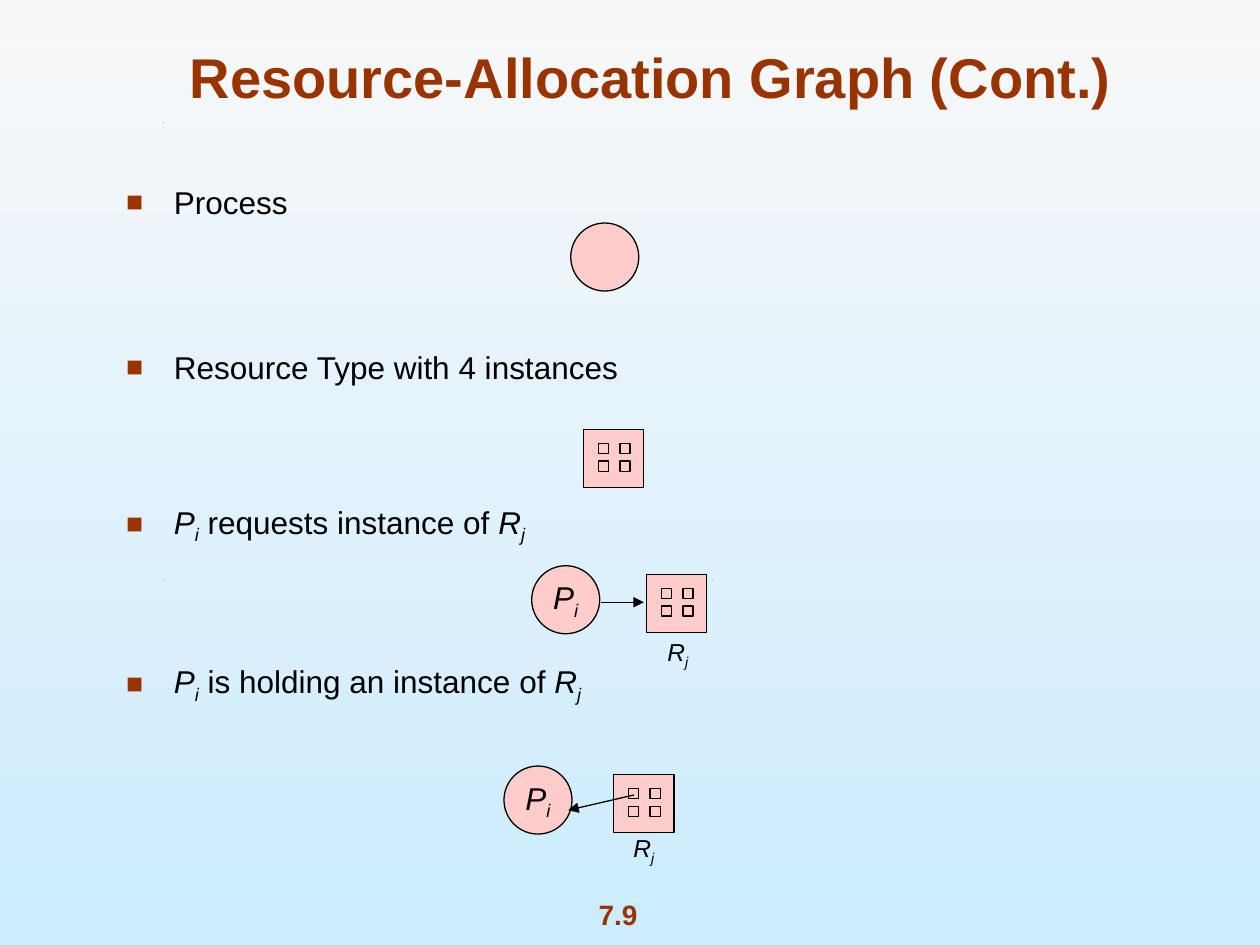
from lxml.etree import SubElement
from pptx import Presentation
from pptx.dml.color import RGBColor
from pptx.enum.shapes import MSO_CONNECTOR, MSO_SHAPE
from pptx.enum.text import MSO_ANCHOR, MSO_AUTO_SIZE, PP_ALIGN
from pptx.oxml.ns import qn
from pptx.util import Inches, Pt

BROWN = RGBColor(0x99, 0x33, 0x00)
PINK = RGBColor(0xFF, 0xCC, 0xCC)
BLACK = RGBColor(0, 0, 0)
SKY = [RGBColor(0xF8, 0xF8, 0xF8), RGBColor(0xCC, 0xEC, 0xFF)]

# Styles of a run: "" plain, "i" italic, "s" italic subscript
PROCESS = [("P", "i"), ("i", "s")]
RESOURCE = [("R", "i"), ("j", "s")]

TITLE = "Resource-Allocation Graph (Cont.)"
PAGE_NUMBER = "7.9"
BULLETS = [  # space before in points, runs
    (0, [("Process", "")]),
    (72.7, [("Resource Type with 4 instances", "")]),
    (69.8, PROCESS + [(" requests instance of ", "")] + RESOURCE),
    (69.8, PROCESS + [(" is holding an instance of ", "")] + RESOURCE),
]
CIRCLES = [(4.53, 1.77, []), (4, 6.08, PROCESS), (4.22, 4.49, PROCESS)]
RESOURCES = [(4.63, 3.41), (5.13, 4.56), (4.87, 6.15)]
ARROWS = [(4.77, 4.78, 5.11, 4.78), (5.03, 6.31, 4.51, 6.43)]
RESOURCE_LABELS = [(5.2, 5), (4.93, 6.56)]
SPECKS = [(1.76, 5.42), (1.3, 4.6), (5.65, 4.6), (1.29, 0.97)]

CIRCLE_SIZE = 0.54
RESOURCE_WIDTH, RESOURCE_HEIGHT = 0.48, 0.46
INSTANCE_SIZE = 0.08
INSTANCE_COLUMNS, INSTANCE_ROWS = (0.12, 0.29), (0.11, 0.25)


def place(shape, *edges):
    shape.left, shape.top, shape.width, shape.height = map(Inches, edges)


def add_runs(para, runs, size, color=BLACK, bold=False):
    for text, style in runs:
        span = para.add_run()
        span.text = text
        font = span.font
        font.name, font.size, font.bold = "Arial", Pt(size), bold
        font.italic = style != ""
        font.color.rgb = color
        if style == "s":
            font._element.set("baseline", "-25000")


def add_centred_text(frame, runs, size, **look):
    frame.word_wrap = False
    frame.vertical_anchor = MSO_ANCHOR.MIDDLE
    para = frame.paragraphs[0]
    para.alignment = PP_ALIGN.CENTER
    add_runs(para, runs, size, **look)


def add_label(shapes, edges, runs, size, **look):
    frame = shapes.add_textbox(*map(Inches, edges)).text_frame
    frame.margin_left = frame.margin_right = 0
    frame.auto_size = MSO_AUTO_SIZE.SHAPE_TO_FIT_TEXT
    add_centred_text(frame, runs, size, **look)


def add_bullet(para):
    props = para._p.get_or_add_pPr()
    props.set("marL", str(Inches(0.38)))
    props.set("indent", str(-Inches(0.38)))
    color = SubElement(props, qn("a:buClr"))
    SubElement(color, qn("a:srgbClr"), val=str(BROWN))
    SubElement(props, qn("a:buSzPct"), val="90000")
    SubElement(props, qn("a:buFont"), typeface="Arial")
    SubElement(props, qn("a:buChar"), char="■")


def add_node(shapes, kind, *edges):
    node = shapes.add_shape(kind, *map(Inches, edges))
    node.shadow.inherit = False
    node.fill.solid()
    node.fill.fore_color.rgb = PINK
    node.line.color.rgb = BLACK
    node.line.width = Pt(0.75)
    return node


def add_resource(shapes, left, top):
    """Group a resource box with its grid of instances."""
    parts = shapes.add_group_shape().shapes
    add_node(parts, MSO_SHAPE.RECTANGLE, left, top, RESOURCE_WIDTH, RESOURCE_HEIGHT)
    for row in INSTANCE_ROWS:
        for column in INSTANCE_COLUMNS:
            add_node(parts, MSO_SHAPE.RECTANGLE, left + column, top + row,
                     INSTANCE_SIZE, INSTANCE_SIZE)


def add_arrow(shapes, *ends):
    arrow = shapes.add_connector(MSO_CONNECTOR.STRAIGHT, *map(Inches, ends))
    arrow.line.color.rgb = BLACK
    arrow.line.width = Pt(0.75)
    SubElement(arrow.line._get_or_add_ln(), qn("a:tailEnd"), type="triangle")
    SubElement(arrow._element.spPr, qn("a:effectLst"))


def add_speck(shapes, left, top):
    pen = shapes.build_freeform(Inches(left), Inches(top + 0.01))
    pen.add_line_segments([(Inches(left + 0.01), Inches(top)),
                           (Inches(left), Inches(top + 0.01))])
    speck = pen.convert_to_shape()
    speck.shadow.inherit = False
    speck.fill.solid()
    speck.fill.fore_color.rgb = BLACK
    speck.line.fill.background()


def fill_title(title):
    place(title, 0.75, 0.25, 8.83, 0.67)
    frame = title.text_frame
    frame.auto_size = MSO_AUTO_SIZE.NONE
    frame.vertical_anchor = MSO_ANCHOR.BOTTOM
    para = frame.paragraphs[0]
    para.alignment = PP_ALIGN.CENTER
    add_runs(para, [(TITLE, "")], 32, BROWN, bold=True)


def fill_body(body):
    place(body, 0.9, 1.4, 8.04, 4.9)
    frame = body.text_frame
    frame.auto_size = MSO_AUTO_SIZE.NONE
    for index, (space, runs) in enumerate(BULLETS):
        para = frame.add_paragraph() if index else frame.paragraphs[0]
        para.line_spacing = Pt(21.6)
        para.space_before = Pt(space)
        add_bullet(para)
        add_runs(para, runs, 18)


def main():
    deck = Presentation()
    deck.slide_width, deck.slide_height = Inches(10), Inches(7.5)
    page = deck.slides.add_slide(deck.slide_layouts[1])
    shapes = page.shapes

    backdrop = page.background.fill
    backdrop.gradient()
    backdrop.gradient_angle = 270
    for stop, color, position in zip(backdrop.gradient_stops, SKY, (0, 1)):
        stop.color.rgb = color
        stop.position = position

    fill_title(shapes.title)
    fill_body(page.placeholders[1])
    add_label(shapes, (4.18, 7.07, 1.45, 0.37), [(PAGE_NUMBER, "")], 16,
              color=BROWN, bold=True)
    for speck in SPECKS:
        add_speck(shapes, *speck)
    for left, top, runs in CIRCLES:
        circle = add_node(shapes, MSO_SHAPE.OVAL, left, top, CIRCLE_SIZE, CIRCLE_SIZE)
        add_centred_text(circle.text_frame, runs, 18)
    for corner in RESOURCES:
        add_resource(shapes, *corner)
    for ends in ARROWS:
        add_arrow(shapes, *ends)
    for corner in RESOURCE_LABELS:
        add_label(shapes, (*corner, 0.36, 0.37), RESOURCE, 14)

    deck.save("out.pptx")


if __name__ == "__main__":
    main()
